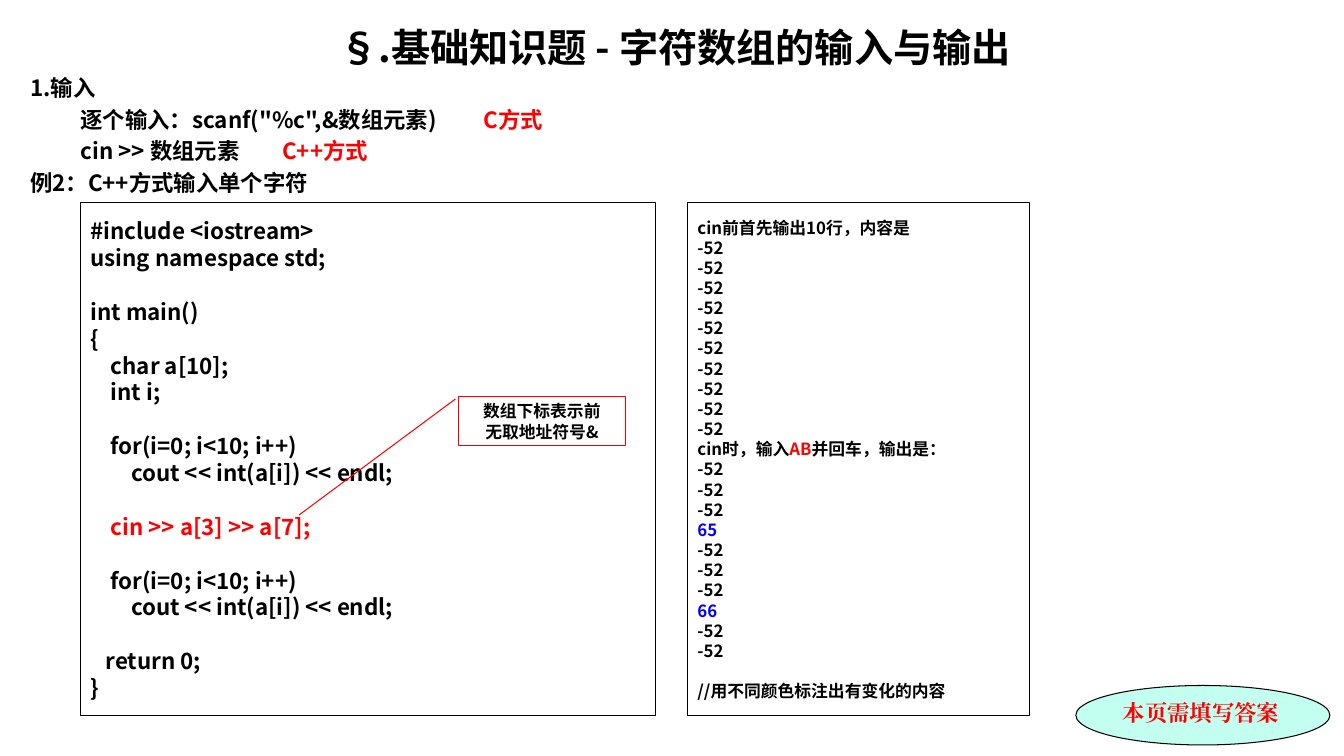
from pptx import Presentation
from pptx.dml.color import RGBColor
from pptx.enum.shapes import MSO_SHAPE
from pptx.enum.text import MSO_ANCHOR, MSO_AUTO_SIZE, PP_ALIGN
from pptx.oxml.ns import qn
from pptx.util import Inches, Pt
from lxml.etree import SubElement

BLACK, RED, BLUE, MINT = "000000", "FF0000", "0000FF", "C2FFF0"
SANS, SERIF = "Noto Sans CJK SC", "Times New Roman"


def colour(value):
    return RGBColor.from_string(value)


def plain(lines, highlights):
    return [[(line, highlights.get(line.strip(), BLACK))] for line in lines]


class ExerciseSlide:
    def __init__(self, presentation):
        self.width = presentation.slide_width
        self.height = presentation.slide_height
        self.slide = presentation.slides.add_slide(presentation.slide_layouts[1])

    def area(self, left, top, width, height):
        return (int(self.width * left / 100), int(self.height * top / 100),
                int(self.width * width / 100), int(self.height * height / 100))

    def fill_text(self, frame, lines, size, font=SANS, align=PP_ALIGN.LEFT, gaps={}, tabs={}):
        for index, segments in enumerate(lines):
            paragraph = frame.paragraphs[0] if index == 0 else frame.add_paragraph()
            paragraph.alignment = align
            paragraph.space_before = Pt(gaps.get(index, gaps.get("all", 0)) if index else 0)
            if tabs:
                self.set_tabs(paragraph, tabs.get(index, []))
            paragraph.font.size = Pt(size)
            paragraph.font.bold = True
            paragraph.font.name = font
            if len(segments) == 1:
                paragraph.font.color.rgb = colour(segments[0][1])
            defaults = paragraph._p.pPr.find(qn("a:defRPr"))
            SubElement(defaults, qn("a:ea")).set("typeface", font)
            for text, shade in segments:
                if not text:
                    continue
                run = paragraph.add_run()
                run.text = text
                if len(segments) > 1:
                    run.font.color.rgb = colour(shade)

    def set_tabs(self, paragraph, stops):
        properties = paragraph._p.get_or_add_pPr()
        properties.set("marL", "0")
        properties.set("indent", "0")
        SubElement(properties, qn("a:buNone"))
        tab_list = SubElement(properties, qn("a:tabLst"))
        for stop in stops:
            tab = SubElement(tab_list, qn("a:tab"))
            tab.set("pos", str(Inches(stop)))
            tab.set("algn", "l")

    def placeholder(self, index, box, lines, size, **style):
        shape = self.slide.placeholders[index]
        shape.left, shape.top, shape.width, shape.height = self.area(*box)
        frame = shape.text_frame
        frame.auto_size = MSO_AUTO_SIZE.NONE
        frame.vertical_anchor = MSO_ANCHOR.TOP
        self.fill_text(frame, lines, size, **style)

    def shape(self, kind, box, lines, size, fill=None, line=BLACK,
              anchor=MSO_ANCHOR.TOP, wrap=True, adjustments=(), **style):
        shape = self.slide.shapes.add_shape(kind, *self.area(*box))
        shape.shadow.inherit = False
        if fill:
            shape.fill.solid()
            shape.fill.fore_color.rgb = colour(fill)
        else:
            shape.fill.background()
        shape.line.color.rgb = colour(line)
        shape.line.width = Pt(0.75)
        for index, value in enumerate(adjustments):
            shape.adjustments[index] = value
        shape.text_frame.word_wrap = wrap
        shape.text_frame.vertical_anchor = anchor
        self.fill_text(shape.text_frame, lines, size, **style)


CODE = """#include <iostream>
using namespace std;

int main()
{
    char a[10];
    int i;

    for(i=0; i<10; i++)
        cout << int(a[i]) << endl;

    cin >> a[3] >> a[7];

    for(i=0; i<10; i++)
        cout << int(a[i]) << endl;

   return 0;
}"""


def main():
    presentation = Presentation()
    presentation.slide_width = Inches(13.33)
    presentation.slide_height = Inches(7.5)
    page = ExerciseSlide(presentation)

    page.placeholder(0, (1.5, 2.4, 97.45, 7.5),
                     plain(["§.基础知识题 - 字符数组的输入与输出"], {}), 28, align=PP_ALIGN.CENTER)
    introduction = [
        [("1.输入", BLACK)],
        [("\t逐个输入：scanf(\"%c\",&数组元素)", BLACK), ("\tC方式", RED)],
        [("\tcin >> 数组元素", BLACK), ("\tC++方式", RED)],
        [("例2：C++方式输入单个字符", BLACK)],
    ]
    page.placeholder(1, (1.5, 9.2, 97.45, 17.5), introduction, 16, gaps={"all": 3.2},
                     tabs={1: [0.16, 3.99], 2: [0.65, 2.79]})

    page.shape(MSO_SHAPE.OVAL, (80.05, 90.67, 18.9, 7.87),
               [[("本页需填写答案", RED)]], 16, fill=MINT, font=SERIF)

    page.shape(MSO_SHAPE.RECTANGLE, (6, 26.8, 42.75, 67.87),
               plain(CODE.split("\n"), {"cin >> a[3] >> a[7];": RED}), 16,
               anchor=MSO_ANCHOR.MIDDLE, wrap=False)

    unchanged = ["-52"]
    after_input = unchanged * 3 + ["65"] + unchanged * 3 + ["66"] + unchanged * 2
    output = plain(["cin前首先输出10行，内容是"] + unchanged * 10, {})
    output.append([("cin时，输入", BLACK), ("AB", RED), ("并回车，输出是：", BLACK)])
    output += plain(after_input + ["//用不同颜色标注出有变化的内容"], {"65": BLUE, "66": BLUE})
    page.shape(MSO_SHAPE.RECTANGLE, (51.16, 26.8, 25.43, 67.87), output, 12,
               anchor=MSO_ANCHOR.MIDDLE, wrap=False, gaps={len(output) - 1: 14.4})

    page.shape(MSO_SHAPE.LINE_CALLOUT_1, (34.13, 52.4, 12.38, 6.53),
               plain(["数组下标表示前", "无取地址符号&"], {}), 12, line=RED,
               align=PP_ALIGN.CENTER, adjustments=(0.06, -0.02, 2.41, -0.96))

    presentation.save("out.pptx")


if __name__ == "__main__":
    main()
